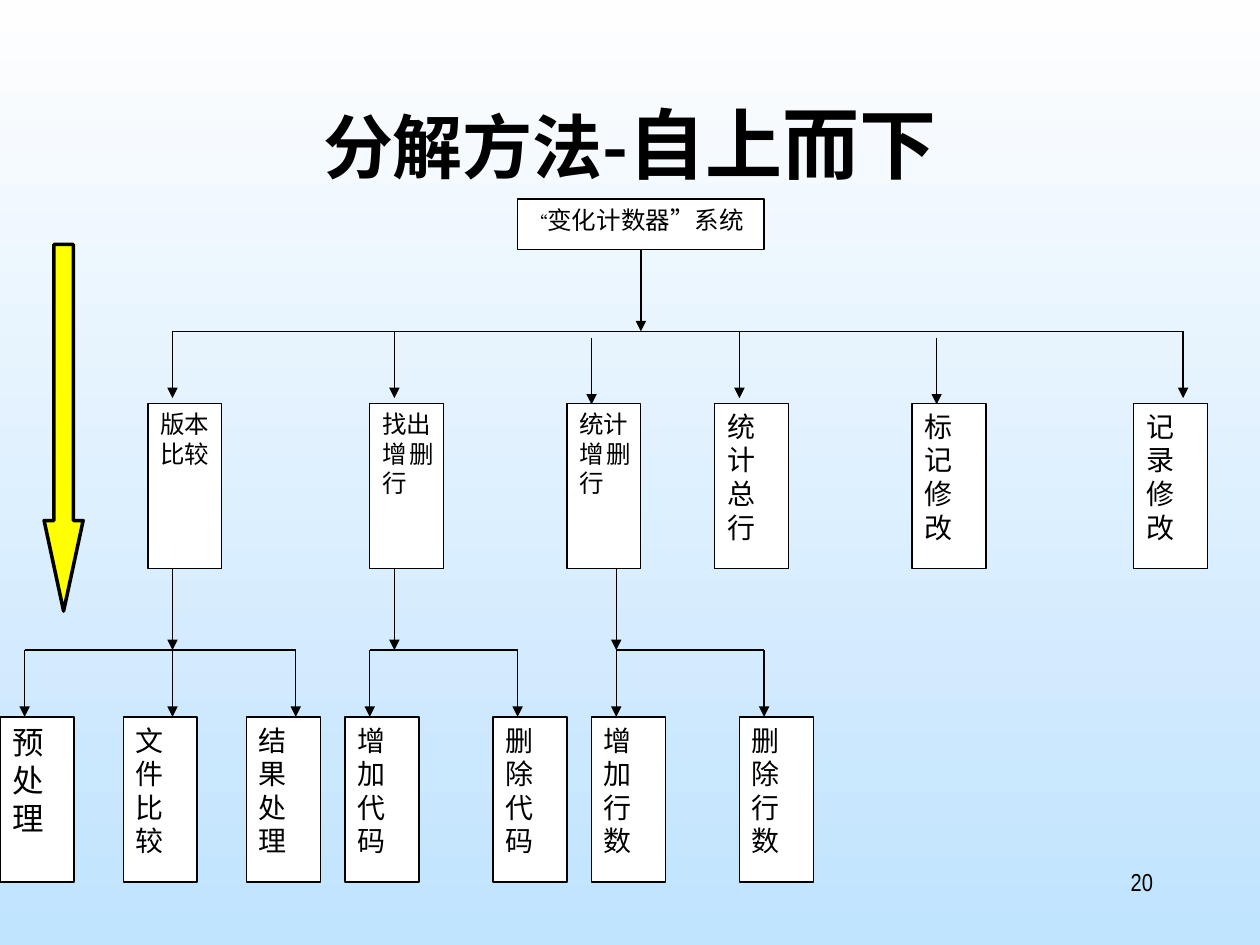
"""Builds a slide with a top-down decomposition tree."""
import pptx
import pptx.util
import pptx.dml.color
import pptx.enum.shapes
import pptx.enum.text
import pptx.oxml.ns
from lxml import etree

Inches, Pt = pptx.util.Inches, pptx.util.Pt
RGBColor = pptx.dml.color.RGBColor
SHAPE = pptx.enum.shapes.MSO_SHAPE
ALIGN = pptx.enum.text.PP_ALIGN
ANCHOR = pptx.enum.text.MSO_ANCHOR
qn = pptx.oxml.ns.qn

BLACK = RGBColor(0, 0, 0)
WHITE = RGBColor(255, 255, 255)
YELLOW = RGBColor(255, 255, 0)
SKY_TOP = RGBColor(0xFE, 0xFE, 0xFE)
SKY_BOTTOM = RGBColor(0xC0, 0xE3, 0xFE)
SERIF, NARROW, CJK = "Times New Roman", "Arial Narrow", "Noto Sans CJK SC"

TITLE = [("分解方法-", 40, CJK), ("自上而下", 44, NARROW)]
ROOT = [("“", 10, SERIF), ("变化计数器”系统", 14, SERIF)]
PAGE = [("20", 14, NARROW)]

# left column, arrow column, arrow shift, size, right inset, paragraphs
STEPS = [
    (6, 7, 0, 14, 0.1, ["版本", "比较"]),
    (15, 16, 0, 14, 0.08, ["找出", "增删行"]),
    (23, 24, 0.05, 14, 0.08, ["统计", "增删行"]),
    (29, 30, 0, 16, 0.1, ["统计总行"]),
    (37, 38, 0.05, 16, 0.1, ["标记修改"]),
    (46, 48, 0, 16, 0.1, ["记录", "修改"]),
]
# parent arrow column -> child boxes: left column, arrow column, size, paragraphs
PARTS = {
    7: [(0, 1, 18, ["预处理"]), (5, 7, 16, ["文件比较"]), (10, 12, 16, ["结果处理"])],
    16: [(14, 15, 16, ["增加", "代码"]), (20, 21, 16, ["删除代码"])],
    25: [(24, 25, 16, ["增加", "行数"]), (30, 31, 16, ["删除", "行数"])],
}

COL = 9.39 / 48
BOX_W, BOX_H = 3 * COL, 1.31
ROOT_Y, ROOT_H = 1.58, 0.4
BUS_1, STEP_Y, BUS_2, PART_Y = 2.63, 3.2, 5.16, 5.69
DROP = 0.53


def write(tf, paragraphs, align=ALIGN.JUSTIFY, bold=False, leading=1.2, right=0.1):
    """Fill a text frame with paragraphs of (text, size, font) runs."""
    tf.word_wrap = True
    tf.auto_size = pptx.enum.text.MSO_AUTO_SIZE.NONE
    tf.vertical_anchor = ANCHOR.TOP
    tf.margin_left, tf.margin_right = Inches(0.1), Inches(right)
    tf.margin_top = tf.margin_bottom = Inches(0.05)
    for i, runs in enumerate(paragraphs):
        p = tf.paragraphs[0] if i == 0 else tf.add_paragraph()
        p.alignment = align
        p.space_before = p.space_after = Pt(0)
        p.line_spacing = Pt(round(leading * max(size for _, size, _ in runs), 1))
        for text, size, font in runs:
            r = p.add_run()
            r.text = text
            r.font.size, r.font.name, r.font.bold = Pt(size), font, bold
            r.font.color.rgb = BLACK
            etree.SubElement(r.font._element, qn("a:ea"), typeface=CJK)


def shape(s, kind, x, y, w, h, fill=WHITE, line=0.75):
    sp = s.shapes.add_shape(kind, Inches(x), Inches(y), Inches(w), Inches(h))
    sp.shadow.inherit = False
    sp.fill.solid()
    sp.fill.fore_color.rgb = fill
    sp.line.color.rgb = BLACK
    sp.line.width = Pt(line)
    return sp


def box(s, col, y, size, lines, right=0.1):
    sp = shape(s, SHAPE.RECTANGLE, col * COL, y, BOX_W, BOX_H)
    write(sp.text_frame, [[(text, size, SERIF)] for text in lines], right=right)


def link(s, col_1, y_1, col_2, y_2, arrow=True):
    c = s.shapes.add_connector(
        pptx.enum.shapes.MSO_CONNECTOR.STRAIGHT,
        Inches(col_1 * COL), Inches(y_1), Inches(col_2 * COL), Inches(y_2))
    c.line.color.rgb = BLACK
    c.line.width = Pt(0.75)
    if arrow:
        etree.SubElement(c.line._get_or_add_ln(), qn("a:tailEnd"), type="triangle")
    etree.SubElement(c._element.spPr, qn("a:effectLst"))


def main():
    prs = pptx.Presentation()
    prs.slide_width, prs.slide_height = Inches(10), Inches(7.5)
    s = prs.slides.add_slide(prs.slide_layouts[5])
    fill = s.background.fill
    fill.gradient()
    fill.gradient_angle = 270
    for stop, color in zip(fill.gradient_stops, (SKY_TOP, SKY_BOTTOM)):
        stop.color.rgb = color

    title = s.shapes.title
    title.left, title.top = Inches(0.75), Inches(0.67)
    title.width, title.height = Inches(8.5), Inches(1.25)
    write(title.text_frame, [TITLE], align=ALIGN.CENTER, bold=True, leading=1.28)

    root = shape(s, SHAPE.RECTANGLE, 21 * COL, ROOT_Y, 10 * COL, ROOT_H)
    write(root.text_frame, [ROOT])
    link(s, 26, ROOT_Y + ROOT_H, 26, BUS_1)
    link(s, STEPS[0][1], BUS_1, STEPS[-1][1], BUS_1, arrow=False)
    for left, stem, shift, size, right, lines in STEPS:
        link(s, stem, BUS_1 + shift, stem, BUS_1 + shift + DROP)
        box(s, left, STEP_Y, size, lines, right)

    for parent, children in PARTS.items():
        link(s, parent, STEP_Y + BOX_H, parent, BUS_2)
        link(s, children[0][1], BUS_2, children[-1][1], BUS_2, arrow=False)
        for left, stem, size, lines in children:
            link(s, stem, BUS_2, stem, PART_Y)
            box(s, left, PART_Y, size, lines)

    arrow = shape(s, SHAPE.DOWN_ARROW, 0.35, 1.94, 0.31, 2.91, fill=YELLOW, line=2)
    arrow.adjustments[0], arrow.adjustments[1] = 0.5, 2.32

    page = s.shapes.add_textbox(Inches(7.17), Inches(6.83), Inches(2.08), Inches(0.5))
    write(page.text_frame, [PAGE], align=ALIGN.RIGHT)
    prs.save("out.pptx")


if __name__ == "__main__":
    main()
